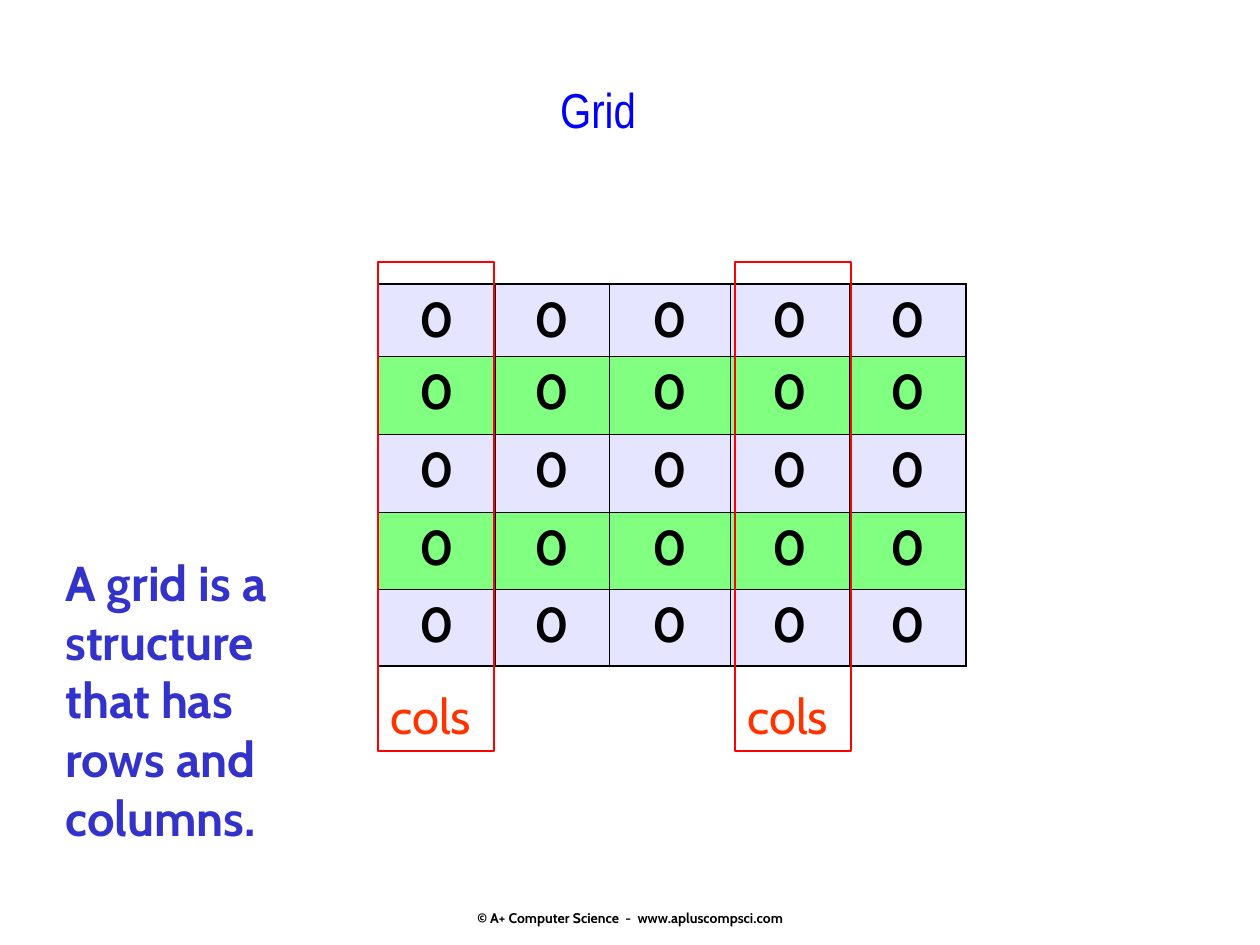
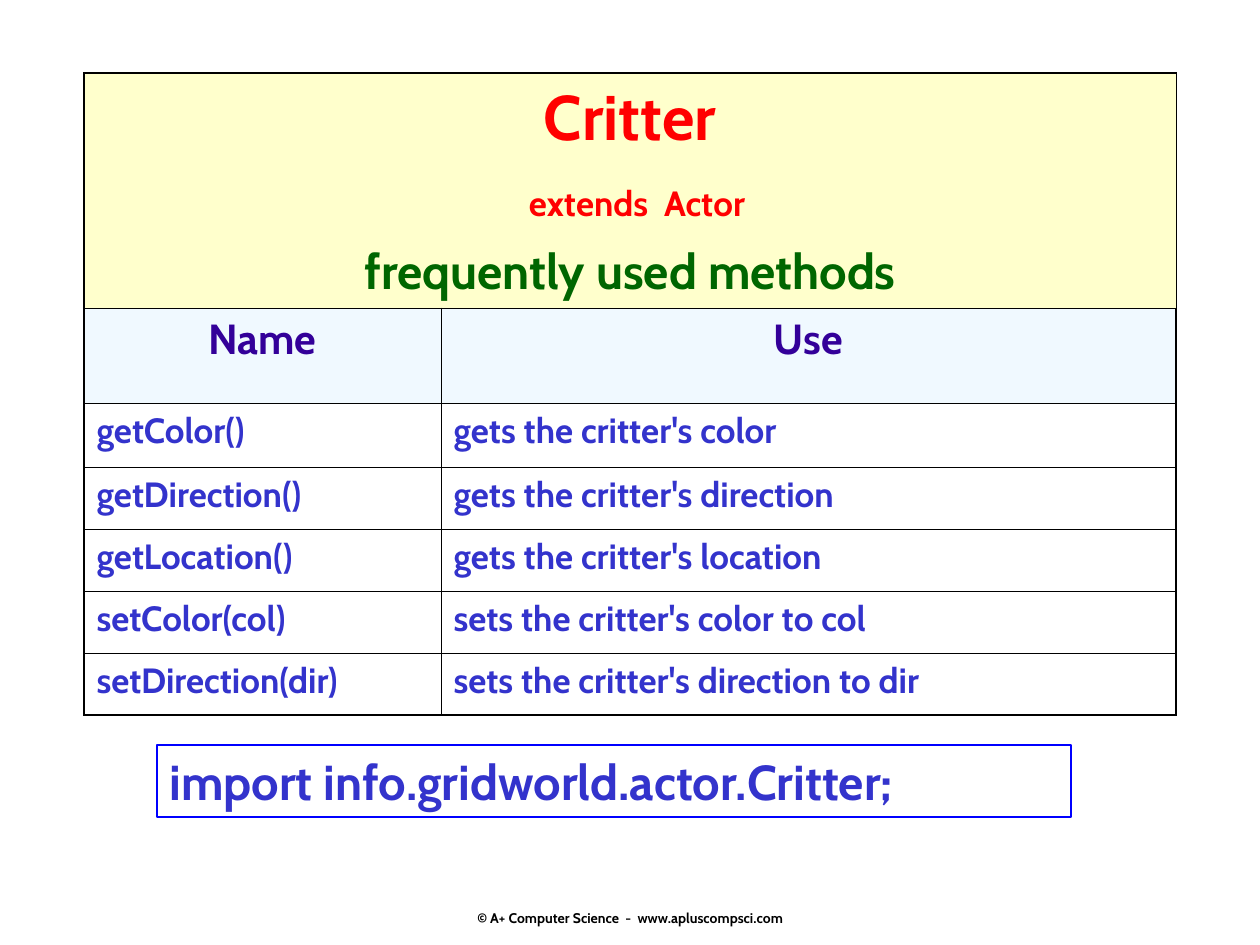
from itertools import product

from lxml.etree import SubElement
from pptx import Presentation
from pptx.dml.color import RGBColor
from pptx.enum.shapes import MSO_SHAPE
from pptx.enum.text import MSO_ANCHOR, PP_ALIGN
from pptx.oxml.ns import qn
from pptx.util import Inches, Pt

PIXEL = Inches(1) / 126
COLORS = {
    "black": "000000", "white": "FFFFFF", "title": "0000FF", "body": "3333CC",
    "lavender": "E5E5FF", "green": "80FF80", "red": "FF0000", "cols": "FF3300",
    "cream": "FFFFCC", "dark green": "006600", "pale blue": "F0F9FF", "purple": "330099",
}
THIN, THICK = Pt(0.45), Pt(1.08)
LEFT, CENTER = PP_ALIGN.LEFT, PP_ALIGN.CENTER


def write_text(frame, text, size=28, color="body", font="Cabin", bold=True,
               align=LEFT, anchor=MSO_ANCHOR.TOP, space_before=0, indent=0):
    frame.word_wrap = True
    frame.vertical_anchor = anchor
    paragraph = frame.add_paragraph() if frame.text else frame.paragraphs[0]
    paragraph.alignment = align
    if space_before:
        paragraph.space_before = Pt(space_before)
    if indent:
        paragraph._p.get_or_add_pPr().set("marL", str(round(indent * PIXEL)))
    run = paragraph.add_run()
    run.text = text
    run.font.size = Pt(size)
    run.font.name = font
    run.font.bold = bold
    run.font.color.rgb = RGBColor.from_string(COLORS[color])


def add_grid(slide, left, top, widths, heights, row_fills):
    box = [round(value * PIXEL) for value in (left, top, sum(widths), sum(heights))]
    table = slide.shapes.add_table(len(heights), len(widths), *box).table
    table.first_row = table.horz_banding = False
    for column, width in zip(table.columns, widths):
        column.width = round(width * PIXEL)
    for row, height in zip(table.rows, heights):
        row.height = round(height * PIXEL)
    last_row, last_column = len(heights) - 1, len(widths) - 1
    for row, column in product(range(len(heights)), range(len(widths))):
        cell = table.cell(row, column)
        outer_edges = {"lnL": column == 0, "lnR": column == last_column,
                       "lnT": row == 0, "lnB": row == last_row}
        properties = cell._tc.get_or_add_tcPr()
        for edge, is_outer in outer_edges.items():
            line = SubElement(properties, qn(f"a:{edge}"), w=str(THICK if is_outer else THIN))
            fill = SubElement(line, qn("a:solidFill"))
            SubElement(fill, qn("a:srgbClr"), val=COLORS["black"])
        cell.fill.solid()
        cell.fill.fore_color.rgb = RGBColor.from_string(COLORS[row_fills[row]])
    return table


presentation = Presentation()
presentation.slide_width = round(1260 * PIXEL)
presentation.slide_height = round(945 * PIXEL)
blank_layout = presentation.slide_layouts[6]
grid_slide = presentation.slides.add_slide(blank_layout)
critter_slide = presentation.slides.add_slide(blank_layout)

footer = "© A+ Computer Science  -  www.apluscompsci.com"
footer_format = dict(size=8, color="black", align=CENTER, anchor=MSO_ANCHOR.MIDDLE)
text_boxes = [
    (grid_slide, (431, 903, 399, 30), footer, footer_format),
    (critter_slide, (431, 903, 399, 30), footer, footer_format),
    (grid_slide, (220, 73, 756, 136), "Grid",
     dict(color="title", font="Arial Narrow", bold=False, align=CENTER)),
    (grid_slide, (53, 546, 284, 307), "A grid is a structure that has rows and columns.", {}),
]
for slide, box, text, text_format in text_boxes:
    text_box = slide.shapes.add_textbox(*[round(value * PIXEL) for value in box])
    write_text(text_box.text_frame, text, **text_format)

zero_table = add_grid(grid_slide, 378, 284, [117, 114, 121, 119, 117], [72, 78, 78, 77, 77],
                      ["lavender", "green", "lavender", "green", "lavender"])
for cell in zero_table.iter_cells():
    write_text(cell.text_frame, "0", color="black", align=CENTER)

method_rows = [
    ("getColor()", "gets the critter's color"),
    ("getDirection()", "gets the critter's direction"),
    ("getLocation()", "gets the critter's location"),
    ("setColor(col)", "sets the critter's color to col"),
    ("setDirection(dir)", "sets the critter's direction to dir"),
]
method_table = add_grid(critter_slide, 84, 73, [357, 735], [235, 95, 64] + [62] * 4,
                        ["cream", "pale blue"] + ["white"] * 5)
heading = method_table.cell(0, 0)
heading.merge(method_table.cell(0, 1))
write_text(heading.text_frame, "Critter", size=36, color="red", align=CENTER)
write_text(heading.text_frame, "extends  Actor", size=20, color="red", align=CENTER,
           space_before=15, indent=14)
write_text(heading.text_frame, "frequently used methods", color="dark green", align=CENTER,
           space_before=10)
for column, label in enumerate(["Name", "Use"]):
    write_text(method_table.cell(1, column).text_frame, label, size=24, color="purple",
               align=CENTER)
for row, method in enumerate(method_rows, start=2):
    for column, text in enumerate(method):
        write_text(method_table.cell(row, column).text_frame, text, size=20)

cols_format = dict(color="cols", bold=False, anchor=MSO_ANCHOR.BOTTOM)
frames = [
    (grid_slide, (378, 262, 116, 489), "red", "cols", cols_format),
    (grid_slide, (735, 262, 116, 489), "red", "cols", cols_format),
    (critter_slide, (157, 745, 914, 72), "title", "import info.gridworld.actor.Critter;", {}),
]
for slide, box, line_color, text, text_format in frames:
    shape = slide.shapes.add_shape(MSO_SHAPE.RECTANGLE, *[round(value * PIXEL) for value in box])
    shape.shadow.inherit = False
    shape.fill.background()
    shape.line.color.rgb = RGBColor.from_string(COLORS[line_color])
    shape.line.width = Pt(1)
    write_text(shape.text_frame, text, **text_format)

presentation.save("out.pptx")
